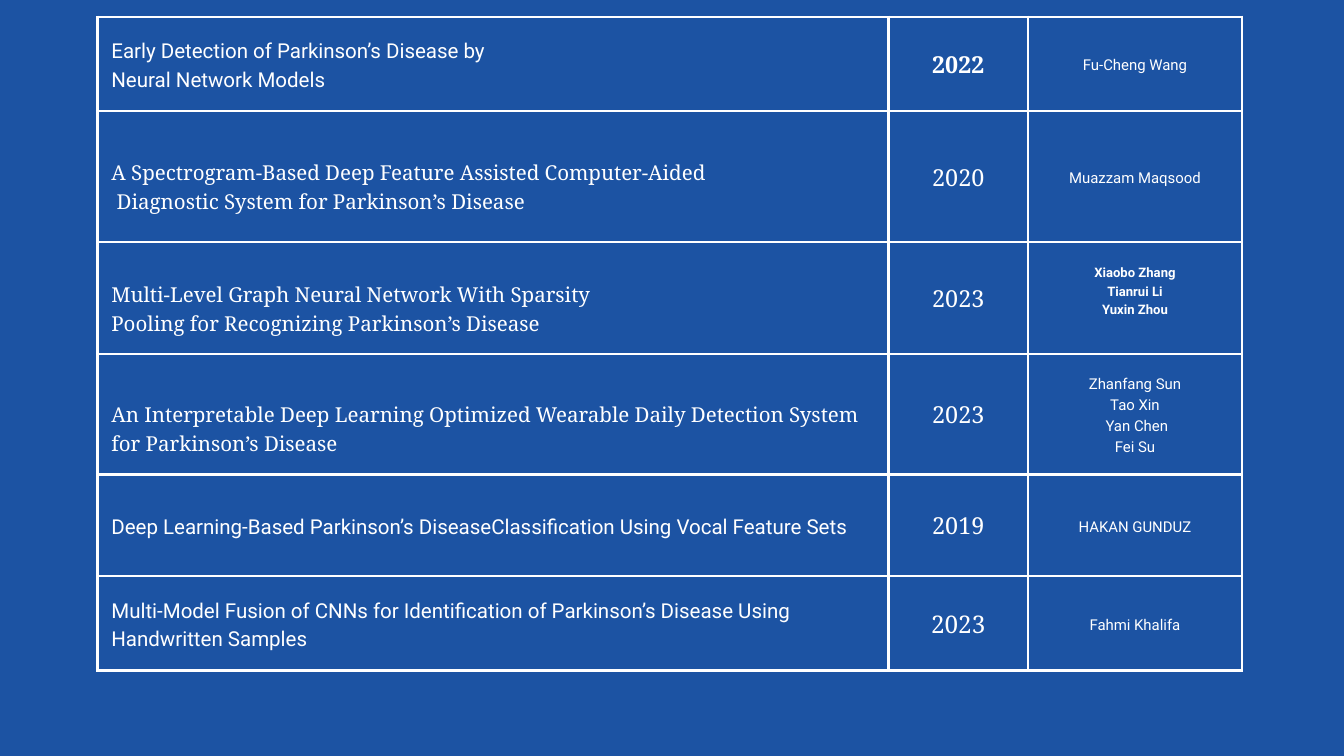
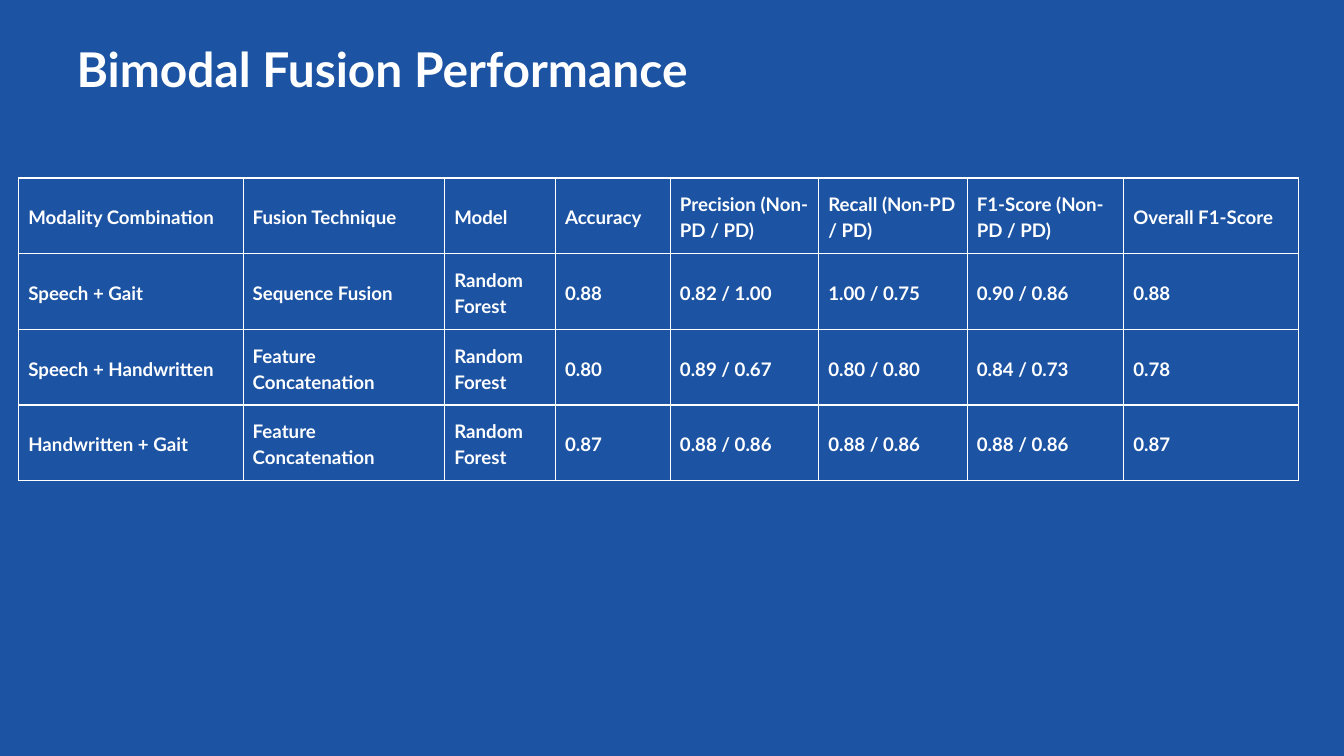
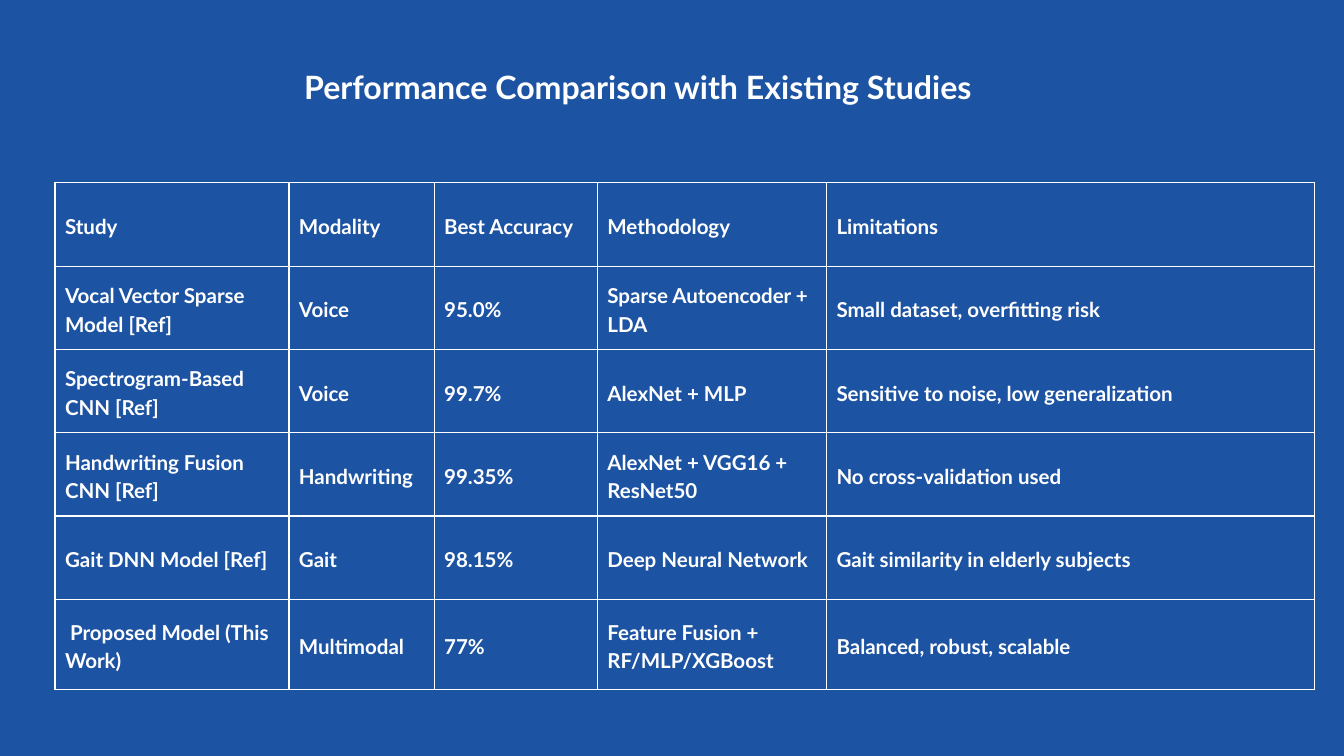
from lxml.etree import SubElement
from pptx import Presentation
from pptx.dml.color import RGBColor
from pptx.enum.text import MSO_ANCHOR, PP_ALIGN
from pptx.oxml.ns import qn
from pptx.util import Cm, Pt

BLUE, WHITE = "1C53A3", "FFFFFF"
SERIF, SANS, LATO = "Noto Serif", "Roboto", "Lato"
LEADING = 1.4  # line spacing as a multiple of the text size

# Papers: title, title font, gap above title (cm), year, year size, authors
PAPERS = [
    ("Early Detection of Parkinson’s Disease by\nNeural Network Models",
     SANS, 0, "2022", 25, "Fu-Cheng Wang"),
    ("A Spectrogram-Based Deep Feature Assisted Computer-Aided\n"
     " Diagnostic System for Parkinson’s Disease",
     SERIF, 0.79, "2020", 25, "Muazzam Maqsood"),
    ("Multi-Level Graph Neural Network With Sparsity\n"
     "Pooling for Recognizing Parkinson’s Disease",
     SERIF, 0.79, "2023", 25, "Xiaobo Zhang\nTianrui Li\nYuxin Zhou"),
    ("An Interpretable Deep Learning Optimized Wearable Daily Detection System "
     "for Parkinson’s Disease",
     SERIF, 1.09, "2023", 25, "Zhanfang Sun\nTao Xin\n Yan Chen\nFei Su"),
    ("Deep Learning-Based Parkinson’s DiseaseClassification Using Vocal Feature Sets",
     SANS, 0, "2019", 25, "HAKAN GUNDUZ"),
    ("Multi-Model Fusion of CNNs for Identification of Parkinson’s Disease Using "
     "Handwritten Samples",
     SANS, 0, "2023", 26, "Fahmi Khalifa"),
]
PAPER_COLUMNS = [29.9, 5.28, 8.08]
PAPER_ROWS = [3.56, 4.95, 4.24, 4.55, 3.84, 3.56]
BOLD_YEAR_ROW, BOLD_AUTHORS_ROW = 0, 2

FUSION = [
    ("Modality Combination", "Fusion Technique", "Model", "Accuracy",
     "Precision (Non-PD / PD)", "Recall (Non-PD / PD)", "F1-Score (Non-PD / PD)",
     "Overall F1-Score"),
    ("Speech + Gait", "Sequence Fusion", "Random Forest", "0.88",
     "0.82 / 1.00", "1.00 / 0.75", "0.90 / 0.86", "0.88"),
    ("Speech + Handwritten", "Feature Concatenation", "Random Forest", "0.80",
     "0.89 / 0.67", "0.80 / 0.80", "0.84 / 0.73", "0.78"),
    ("Handwritten + Gait", "Feature Concatenation", "Random Forest", "0.87",
     "0.88 / 0.86", "0.88 / 0.86", "0.88 / 0.86", "0.87"),
]
FUSION_COLUMNS = [8.48, 7.62, 4.19, 4.34, 5.61, 5.61, 5.92, 6.6]
FUSION_ROWS = [2.86] * 4

STUDIES = [
    ("Study", "Modality", "Best Accuracy", "Methodology", "Limitations"),
    ("Vocal Vector Sparse Model [Ref]", "Voice", "95.0%",
     "Sparse Autoencoder + LDA", "Small dataset, overfitting risk"),
    ("Spectrogram-Based CNN [Ref]", "Voice", "99.7%",
     "AlexNet + MLP", "Sensitive to noise, low generalization"),
    ("Handwriting Fusion CNN [Ref]", "Handwriting", "99.35%",
     "AlexNet + VGG16 + ResNet50", "No cross-validation used"),
    ("Gait DNN Model [Ref]", "Gait", "98.15%",
     "Deep Neural Network", "Gait similarity in elderly subjects"),
    (" Proposed Model (This Work)", "Multimodal", "77%",
     "Feature Fusion + RF/MLP/XGBoost", "Balanced, robust, scalable"),
]
STUDY_COLUMNS = [8.84, 5.49, 6.17, 8.66, 18.44]
STUDY_ROWS = [3.15] * 5 + [3.4]


def color(value):
    return RGBColor.from_string(value)


def write(frame, text, size, font=LATO, bold=True, align=PP_ALIGN.LEFT):
    frame.text = text
    frame.word_wrap = True
    for paragraph in frame.paragraphs:
        paragraph.alignment = align
        paragraph.line_spacing = Pt(round(size * LEADING, 1))
        paragraph.font.size = Pt(size)
        paragraph.font.name = font
        paragraph.font.bold = bold
        paragraph.font.color.rgb = color(WHITE)


def set_margins(item, margin):
    item.margin_left = item.margin_right = Cm(margin)
    item.margin_top = item.margin_bottom = Cm(margin)


def add_borders(cell, width):
    properties = cell._tc.get_or_add_tcPr()
    for position, side in enumerate(("a:lnL", "a:lnR", "a:lnT", "a:lnB")):
        line = SubElement(properties, qn(side), w=str(Pt(width)))
        fill = SubElement(line, qn("a:solidFill"))
        SubElement(fill, qn("a:srgbClr"), val=WHITE)
        properties.insert(position, line)  # borders come before the fill


def add_slide(presentation):
    slide = presentation.slides.add_slide(presentation.slide_layouts[6])
    slide.background.fill.solid()
    slide.background.fill.fore_color.rgb = color(BLUE)
    return slide


def add_grid(slide, left, top, columns, rows, margin, border):
    frame = slide.shapes.add_table(len(rows), len(columns), Cm(left), Cm(top),
                                   Cm(sum(columns)), Cm(sum(rows)))
    table = frame.table
    table.first_row = table.horz_banding = False
    for column, width in zip(table.columns, columns):
        column.width = Cm(width)
    for row, height in zip(table.rows, rows):
        row.height = Cm(height)
    for cell in table.iter_cells():
        cell.fill.background()
        cell.vertical_anchor = MSO_ANCHOR.MIDDLE
        set_margins(cell, margin)
        add_borders(cell, border)
    return table


def fill_grid(table, records, size):
    for row, record in enumerate(records):
        for column, text in enumerate(record):
            write(table.cell(row, column).text_frame, text, size)


def add_title(slide, text, size, left, top, width, height):
    frame = slide.shapes.add_textbox(Cm(left), Cm(top), Cm(width), Cm(height)).text_frame
    set_margins(frame, 0)
    write(frame, text, size, align=PP_ALIGN.CENTER)


def add_papers(presentation):
    margin = 0.53
    table = add_grid(add_slide(presentation), 3.68, 0.64, PAPER_COLUMNS, PAPER_ROWS,
                     margin, 3)
    for row, (title, font, gap, year, year_size, authors) in enumerate(PAPERS):
        title_cell, year_cell, authors_cell = (table.cell(row, i) for i in range(3))
        bold_authors = row == BOLD_AUTHORS_ROW
        write(title_cell.text_frame, title, 22, font, False)
        title_cell.margin_top = Cm(margin + gap)
        write(year_cell.text_frame, year, year_size, SERIF, row == BOLD_YEAR_ROW,
              PP_ALIGN.CENTER)
        write(authors_cell.text_frame, authors, 14 if bold_authors else 16, SANS,
              bold_authors, PP_ALIGN.CENTER)
        if bold_authors:
            authors_cell.margin_bottom = Cm(margin + 0.6)


def add_fusion(presentation):
    slide = add_slide(presentation)
    table = add_grid(slide, 0.71, 6.73, FUSION_COLUMNS, FUSION_ROWS, 0.36, 1.5)
    fill_grid(table, FUSION, 20)
    add_title(slide, "Bimodal Fusion Performance", 51.3, 1.68, 1.12, 25.55, 2.41)


def add_studies(presentation):
    slide = add_slide(presentation)
    table = add_grid(slide, 2.08, 6.91, STUDY_COLUMNS, STUDY_ROWS, 0.38, 1.5)
    fill_grid(table, STUDIES, 22)
    add_title(slide, "Performance Comparison with Existing Studies", 34.4,
              10.24, 2.29, 27.76, 1.63)


def main():
    presentation = Presentation()
    presentation.slide_width, presentation.slide_height = Cm(50.8), Cm(28.58)
    add_papers(presentation)
    add_fusion(presentation)
    add_studies(presentation)
    presentation.save("out.pptx")


if __name__ == "__main__":
    main()
